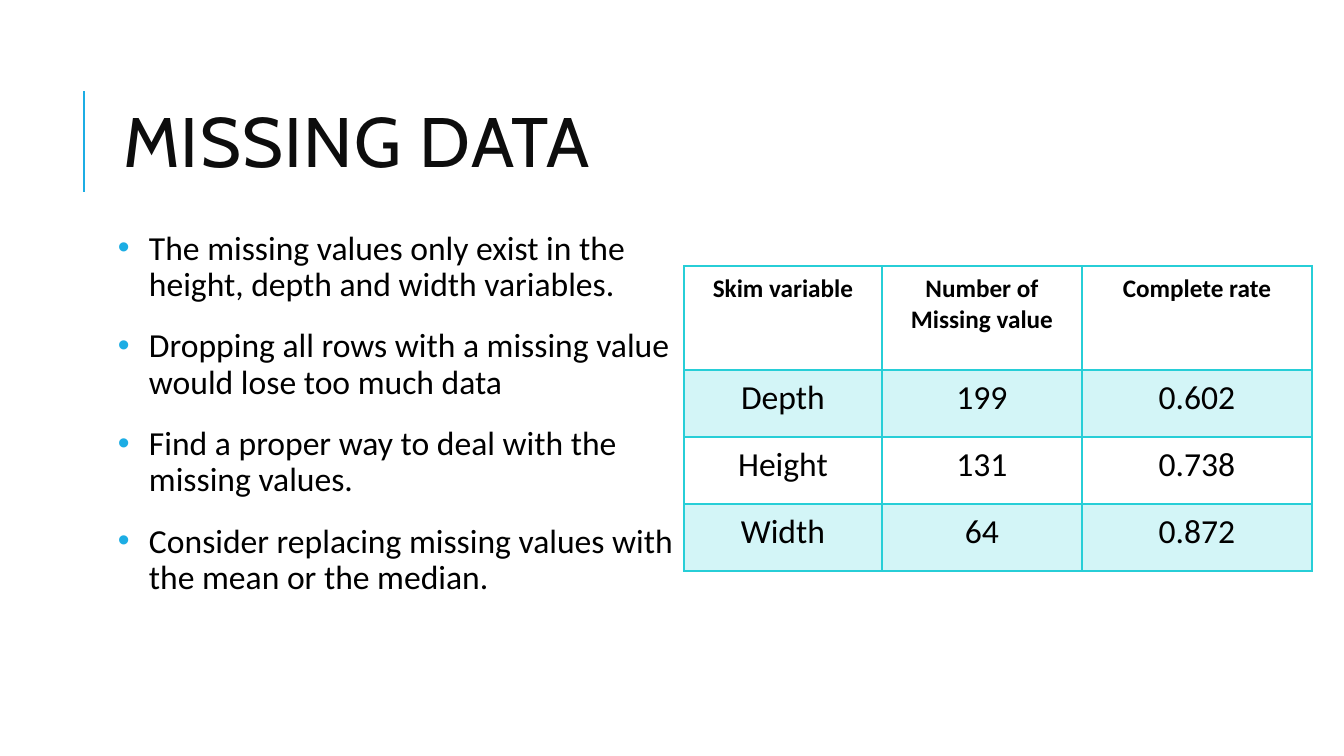
from lxml import etree
from pptx import Presentation
from pptx.dml.color import RGBColor
from pptx.enum import shapes, text
from pptx.oxml.ns import qn
from pptx.util import Pt

PX = 914400 / 100.8
BLACK = RGBColor(0, 0, 0)
INK = RGBColor(0x0D, 0x0D, 0x0D)
BLUE = RGBColor(0x1C, 0xAD, 0xE4)
TEAL = RGBColor(0x27, 0xCE, 0xD7)

POINTS = [
    "The missing values only exist in the height, depth and width variables.",
    "Dropping all rows with a missing value would lose too much data",
    "Find a proper way to deal with the missing values.",
    "Consider replacing missing values with the mean or the median.",
]
ROWS = [
    ("Skim variable", "Number of Missing value", "Complete rate"),
    ("Depth", "199", "0.602"),
    ("Height", "131", "0.738"),
    ("Width", "64", "0.872"),
]
WIDTHS = (198, 200, 230)
HEIGHTS = (104, 67, 67, 67)


def px(num):
    return round(num * PX)


def style(para, size, color=BLACK, name="Calibri", bold=False):
    for run in para.runs:
        font = run.font
        font.size, font.name, font.bold = Pt(size), name, bold
        font.color.rgb = color


def inset(item, side, top):
    item.margin_left = item.margin_right = px(side)
    item.margin_top = item.margin_bottom = px(top)


def add_rule(slide, x, y, high):
    rule = slide.shapes.add_connector(
        shapes.MSO_CONNECTOR.STRAIGHT, px(x), px(y + high), px(x), px(y))
    rule.line.color.rgb = BLUE
    rule.line.width = Pt(1.5)
    etree.SubElement(rule._element.spPr, qn("a:effectLst"))


def add_title(slide, x, y, wide, high):
    title = slide.shapes.title
    title.left, title.top, title.width, title.height = map(px, (x, y, wide, high))
    frame = title.text_frame
    frame.text = "MISSING DATA"
    frame.word_wrap = True
    frame.auto_size = text.MSO_AUTO_SIZE.NONE
    frame.vertical_anchor = text.MSO_ANCHOR.MIDDLE
    para = frame.paragraphs[0]
    para.alignment = text.PP_ALIGN.LEFT
    para.line_spacing = 0.8
    style(para, 50, INK, "Cabin")
    para.runs[0]._r.get_or_add_rPr().set("spc", "100")


def add_bullet(para, indent):
    props = para._p.get_or_add_pPr()
    props.set("marL", str(px(indent)))
    props.set("indent", str(-px(indent)))
    color = etree.SubElement(props, qn("a:buClr"))
    etree.SubElement(color, qn("a:srgbClr"), val=str(BLUE))
    etree.SubElement(props, qn("a:buFont"), typeface="Arial")
    etree.SubElement(props, qn("a:buChar"), char="•")


def add_points(slide, x, y, wide, high):
    frame = slide.shapes.add_textbox(*map(px, (x, y, wide, high))).text_frame
    frame.word_wrap = True
    inset(frame, 5, 5)
    frame.text = "\n".join(POINTS)
    for para in frame.paragraphs:
        para.line_spacing = 0.9
        para.space_before, para.space_after = Pt(12), Pt(6)
        style(para, 24)
        add_bullet(para, 31)


def add_edges(cell, head, below):
    """Draw the cell borders, heavier between the header and the body."""
    props = cell._tc.get_or_add_tcPr()
    heavy = {"B": head, "T": below}
    for spot, side in enumerate("LRTB"):
        width = Pt(2 if heavy.get(side) else 1)
        edge = etree.Element(qn(f"a:ln{side}"), w=str(width))
        fill = etree.SubElement(edge, qn("a:solidFill"))
        etree.SubElement(fill, qn("a:srgbClr"), val=str(TEAL))
        props.insert(spot, edge)


def fill_cell(cell, words, row):
    cell.text = words
    inset(cell, 16, 8)
    para = cell.text_frame.paragraphs[0]
    para.alignment = text.PP_ALIGN.CENTER
    head = row == 0
    style(para, 18 if head else 24, bold=head)
    if row % 2:
        cell.fill.solid()
        cell.fill.fore_color.rgb = TEAL
        tint = cell._tc.tcPr.find(".//" + qn("a:srgbClr"))
        etree.SubElement(tint, qn("a:alpha"), val="20000")
    else:
        cell.fill.background()
    add_edges(cell, head, row == 1)


def add_counts(slide, x, y):
    size = sum(WIDTHS), sum(HEIGHTS)
    table = slide.shapes.add_table(
        len(ROWS), len(WIDTHS), *map(px, (x, y, *size))).table
    for col, wide in zip(table.columns, WIDTHS):
        col.width = px(wide)
    for row, high in zip(table.rows, HEIGHTS):
        row.height = px(high)
    for r, row in enumerate(ROWS):
        for c, words in enumerate(row):
            fill_cell(table.cell(r, c), words, r)


def main():
    deck = Presentation()
    deck.slide_width, deck.slide_height = px(1344), px(756)
    slide = deck.slides.add_slide(deck.slide_layouts[5])
    add_rule(slide, 84, 91, 101)
    add_title(slide, 113, 65, 489, 165)
    add_points(slide, 113, 226, 572, 480)
    add_counts(slide, 684, 266)
    deck.save("out.pptx")


if __name__ == "__main__":
    main()
